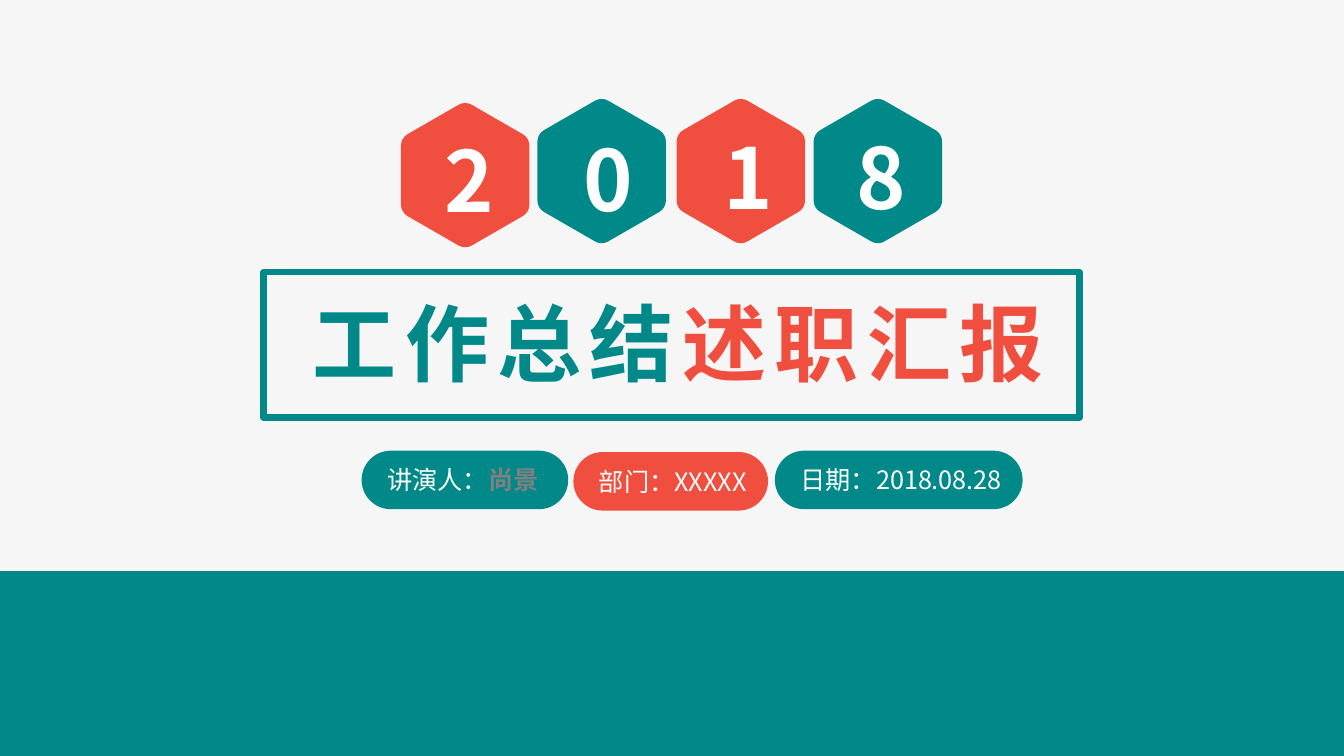
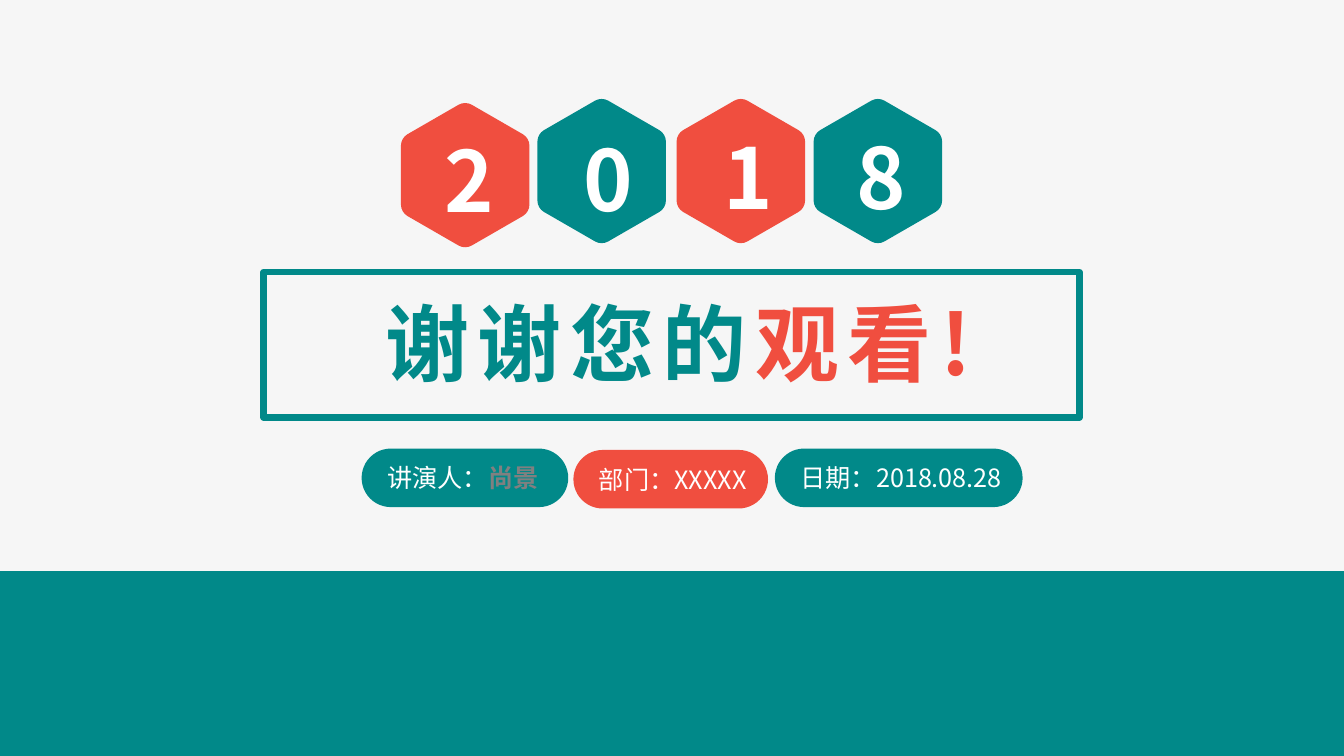
from math import cos, pi, sin

from lxml.etree import SubElement
from pptx import Presentation
from pptx.dml.color import RGBColor
from pptx.enum.shapes import MSO_SHAPE
from pptx.enum.text import MSO_ANCHOR, MSO_AUTO_SIZE, PP_ALIGN
from pptx.oxml.ns import qn
from pptx.util import Pt

TEAL = RGBColor(0x01, 0x89, 0x89)
RED = RGBColor(0xF0, 0x4E, 0x3F)
WHITE = RGBColor(0xFF, 0xFF, 0xFF)
GREY = RGBColor(0x80, 0x80, 0x80)
PAPER = RGBColor(0xF6, 0xF6, 0xF6)
FONT = "Noto Sans CJK SC"

WIDTH, HEIGHT = 960, 540
BAND_TOP = 408
HEXAGON_RADIUS = 53
CORNER_CUT = 5.4
CURVE_HANDLE = 0.4

DIGITS = [
    ("2", RED, (332.3, 125.1), (277.9, 88.6)),
    ("0", TEAL, (429.8, 122.2), (376.8, 88.2)),
    ("1", RED, (529.2, 122.2), (476.8, 86.7)),
    ("8", TEAL, (627.1, 122.2), (571.7, 86.7)),
]
PILLS = [
    {"left": 258.3, "drop": 0, "width": 147.6, "color": TEAL, "shift": -1.5,
     "runs": [("讲演人：", WHITE, False), ("尚景", GREY, True)]},
    {"left": 409.6, "drop": 1, "width": 139, "color": RED, "shift": 1.5,
     "runs": [("部门：XXXXX", WHITE, False)]},
    {"left": 553.5, "drop": 0, "width": 177, "color": TEAL, "shift": 1.8,
     "runs": [("日期：2018.08.28", WHITE, False)]},
]


def write_runs(text_frame, runs, size, spacing=0):
    """Write one centred paragraph from (text, colour, bold) runs."""
    paragraph = text_frame.paragraphs[0]
    paragraph.alignment = PP_ALIGN.CENTER
    paragraph.font.size = Pt(size)
    paragraph.font.name = FONT
    defaults = paragraph._p.pPr.find(qn("a:defRPr"))
    SubElement(defaults, qn("a:ea")).set("typeface", FONT)
    for text, color, bold in runs:
        run = paragraph.add_run()
        run.text = text
        run.font.color.rgb = color
        run.font.bold = bold
        if spacing:
            run._r.get_or_add_rPr().set("spc", str(spacing * 100))


def set_margins(text_frame, horizontal, vertical):
    """Set equal side margins and equal top and bottom margins."""
    text_frame.margin_left = text_frame.margin_right = Pt(horizontal)
    text_frame.margin_top = text_frame.margin_bottom = Pt(vertical)


def paint(shape, color):
    """Give a shape a flat fill without outline or shadow."""
    shape.shadow.inherit = False
    shape.fill.solid()
    shape.fill.fore_color.rgb = color
    shape.line.fill.background()


def add_block(slide, kind, left, top, width, height, color):
    """Add a flat preset shape."""
    shape = slide.shapes.add_shape(kind, Pt(left), Pt(top), Pt(width), Pt(height))
    paint(shape, color)
    return shape


def hexagon_points(center_x, center_y):
    """Return start, two handles and end of each rounded hexagon corner."""
    corners = [
        (center_x + HEXAGON_RADIUS * sin(i * pi / 3),
         center_y - HEXAGON_RADIUS * cos(i * pi / 3))
        for i in range(6)
    ]
    cut = CORNER_CUT / HEXAGON_RADIUS
    handle = cut * CURVE_HANDLE
    points = []
    for i, corner in enumerate(corners):
        before, after = corners[i - 1], corners[(i + 1) % 6]
        for target, share in ((before, cut), (before, handle), (after, handle), (after, cut)):
            points.append(tuple(Pt(c + share * (t - c)) for c, t in zip(corner, target)))
    return points


def round_corners(shape):
    """Turn each corner's three line segments into one curve."""
    lines = list(shape._element.iter(qn("a:lnTo")))
    for start in range(0, len(lines), 4):
        first, *others = lines[start:start + 3]
        first.tag = qn("a:cubicBezTo")
        for line in others:
            first.append(line[0])
            line.getparent().remove(line)


def add_hexagon(slide, center, color):
    """Add an upright hexagon with rounded corners."""
    points = hexagon_points(*center)
    builder = slide.shapes.build_freeform(*points[0])
    builder.add_line_segments(points[1:], close=True)
    hexagon = builder.convert_to_shape()
    path = hexagon._element.find(".//" + qn("a:path"))
    curves = []
    lines = path.findall(qn("a:lnTo"))
    for start in range(0, len(points) - 1, 4):
        curve = path.makeelement(qn("a:cubicBezTo"), {})
        path.replace(lines[start], curve)
        curves.append(curve)
        for line in lines[start:start + 3]:
            curve.append(line[0])
        for line in lines[start + 1:start + 3]:
            path.remove(line)
    paint(hexagon, color)


def add_digit(slide, digit, left, top):
    """Add one large white digit of the year."""
    box = slide.shapes.add_textbox(Pt(left), Pt(top), Pt(115.2), Pt(78.5))
    box.text_frame.word_wrap = True
    box.text_frame.auto_size = MSO_AUTO_SIZE.SHAPE_TO_FIT_TEXT
    set_margins(box.text_frame, 5, 3)
    write_runs(box.text_frame, [(digit, WHITE, True)], 60)


def add_title(slide, teal_text, red_text):
    """Add the framed two-colour title."""
    title = slide.shapes.title
    title.left, title.top, title.width, title.height = map(Pt, (204.9, 204.5, 559.4, 79.9))
    text_frame = title.text_frame
    text_frame.word_wrap = True
    text_frame.vertical_anchor = MSO_ANCHOR.TOP
    text_frame.auto_size = MSO_AUTO_SIZE.SHAPE_TO_FIT_TEXT
    set_margins(text_frame, 7.2, 3.6)
    write_runs(text_frame, [(teal_text, TEAL, True), (red_text, RED, True)], 60, spacing=6)
    frame = slide.shapes.add_shape(
        MSO_SHAPE.RECTANGLE, Pt(188.2), Pt(194.4), Pt(583), Pt(103.8))
    frame.shadow.inherit = False
    frame.fill.background()
    frame.line.color.rgb = TEAL
    frame.line.width = Pt(4.5)


def add_pill(slide, row_top, left, drop, width, color, shift, runs):
    """Add a fully rounded label with its text shifted sideways."""
    pill = add_block(
        slide, MSO_SHAPE.ROUNDED_RECTANGLE, left, row_top + drop, width, 41.8, color)
    pill.adjustments[0] = 0.5
    pill.text_frame.vertical_anchor = MSO_ANCHOR.MIDDLE
    set_margins(pill.text_frame, 0, 0)
    pill.text_frame.margin_left = Pt(max(2 * shift, 0))
    pill.text_frame.margin_right = Pt(max(-2 * shift, 0))
    write_runs(pill.text_frame, runs, 18)


def add_cover(presentation, teal_text, red_text, row_top):
    """Add a slide with year, framed title, labels and bottom band."""
    slide = presentation.slides.add_slide(presentation.slide_layouts[5])
    for digit, color, center, corner in DIGITS:
        add_hexagon(slide, center, color)
        add_digit(slide, digit, *corner)
    add_title(slide, teal_text, red_text)
    for pill in PILLS:
        add_pill(slide, row_top, **pill)
    add_block(slide, MSO_SHAPE.RECTANGLE, 0, BAND_TOP, WIDTH, HEIGHT - BAND_TOP, TEAL)


def main():
    """Build and save the opening and closing slides."""
    presentation = Presentation()
    presentation.slide_width, presentation.slide_height = Pt(WIDTH), Pt(HEIGHT)
    background = presentation.slide_master.background.fill
    background.solid()
    background.fore_color.rgb = PAPER
    add_cover(presentation, "工作总结", "述职汇报", 321.9)
    add_cover(presentation, "谢谢您的", "观看!", 320.4)
    presentation.save("out.pptx")


if __name__ == "__main__":
    main()
